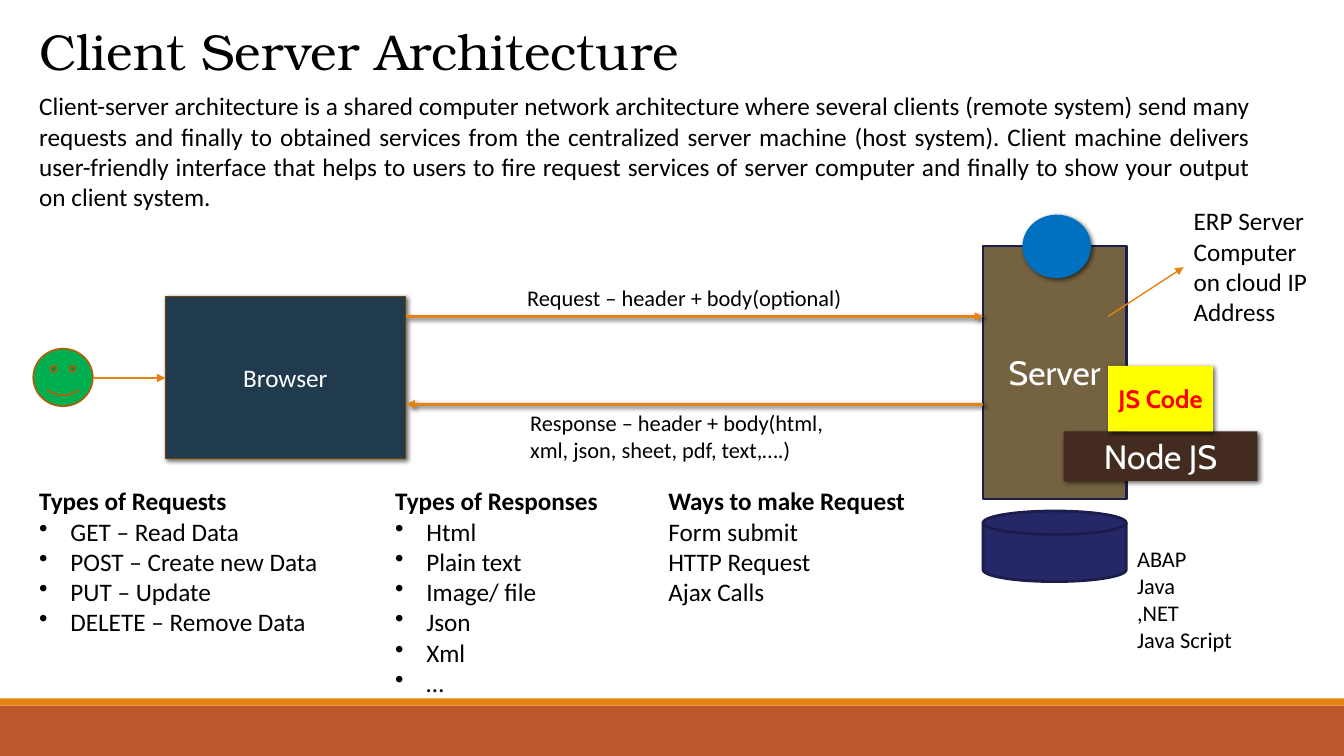
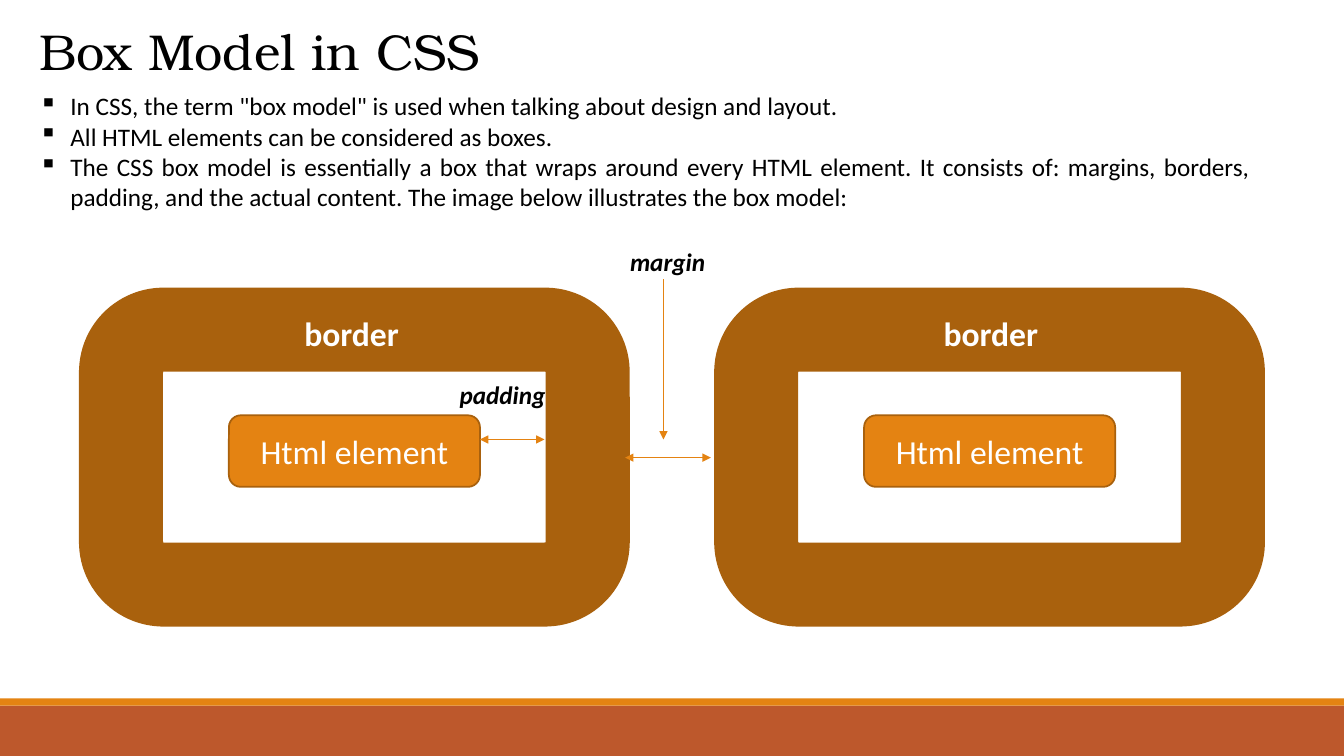
"""Build two slides on client-server architecture and the CSS box model."""
from lxml.etree import SubElement
from pptx import Presentation
from pptx.dml.color import RGBColor
from pptx.enum.shapes import MSO_CONNECTOR as Connector, MSO_SHAPE as Preset
from pptx.enum.text import MSO_ANCHOR as Anchor, MSO_AUTO_SIZE as AutoSize, PP_ALIGN as Align
from pptx.oxml.ns import qn
from pptx.util import Inches, Pt

COLORS = {
    "black": "000000", "white": "FFFFFF", "red": "FF0000", "yellow": "FFFF00",
    "green": "00B050", "blue": "0070C0", "orange": "E48312", "rust": "BD582C",
    "brown": "A9610D", "browser": "203A4E", "browser_edge": "724209",
    "server": "746241", "navy": "262767", "navy_edge": "1C1D4C", "node": "432B20",
}
BODY, LABEL, HEADING = "Calibri", "Cabin", "TeX Gyre Bonum"
INDENT = 0.31


def color(name):
    return RGBColor.from_string(COLORS[name])


def write_text(frame, text, size=18, font=BODY, ink="black", bold=False, italic=False,
               align=Align.LEFT, bullet=None, heading=False, spacing=None):
    for index, line in enumerate(text.split("\n")):
        paragraph = frame.paragraphs[0] if index == 0 else frame.add_paragraph()
        is_heading = heading and index == 0
        paragraph.alignment = align
        if spacing:
            paragraph.line_spacing = spacing
        if bullet and not is_heading:
            properties = paragraph.element.get_or_add_pPr() if hasattr(paragraph, "element") else paragraph._p.get_or_add_pPr()
            properties.set("marL", str(Inches(INDENT)))
            properties.set("indent", str(-Inches(INDENT)))
            SubElement(properties, qn("a:buChar")).set("char", bullet)
        run = paragraph.add_run()
        run.text = line
        run.font.name, run.font.size = font, Pt(size)
        run.font.bold, run.font.italic = bold or is_heading, italic
        run.font.color.rgb = color(ink)


def add_shadow(effects, blur):
    shadow = SubElement(effects, qn("a:outerShdw"), blurRad=str(Pt(blur)), dist=str(Pt(2)),
                        dir="2700000", algn="tl", rotWithShape="0")
    shade = SubElement(shadow, qn("a:srgbClr"), val=COLORS["black"])
    SubElement(shade, qn("a:alpha"), val="60000")


class Deck:
    def __init__(self):
        self.presentation = Presentation()
        self.presentation.slide_width = Inches(13.33)
        self.presentation.slide_height = Inches(7.5)
        self.layout = self.presentation.slide_layouts[5]
        self.slide = None

    def add_slide(self, title):
        is_first = self.slide is None
        self.slide = self.presentation.slides.add_slide(self.layout)
        if is_first:
            self.add_bands()
        placeholder = self.slide.shapes.title
        placeholder.left, placeholder.top = Inches(0.29), Inches(0.21)
        placeholder.width, placeholder.height = Inches(12.21), Inches(0.65)
        frame = placeholder.text_frame
        frame.auto_size, frame.vertical_anchor = AutoSize.NONE, Anchor.MIDDLE
        write_text(frame, title, size=36, font=HEADING, spacing=0.9)

    def add_bands(self):
        for top, height, fill in ((7, 0.5, "rust"), (6.93, 0.07, "orange")):
            band = self.add_shape(Preset.RECTANGLE, 0, top, 13.33, height, fill)
            self.layout.shapes.element.append(band.element)

    def add_text(self, text, left, top, width, height, **style):
        box = self.slide.shapes.add_textbox(*map(Inches, (left, top, width, height)))
        box.text_frame.word_wrap = True
        write_text(box.text_frame, text, **style)

    def add_shape(self, preset, left, top, width, height, fill=None, edge=None,
                  edge_width=1.25, shadow=False, text=None, **style):
        shape = self.slide.shapes.add_shape(preset, *map(Inches, (left, top, width, height)))
        shape.shadow.inherit = False
        if fill:
            shape.fill.solid()
            shape.fill.fore_color.rgb = color(fill)
        else:
            shape.fill.background()
        if edge:
            shape.line.color.rgb = color(edge)
            shape.line.width = Pt(edge_width)
        else:
            shape.line.fill.background()
        if shadow:
            add_shadow(shape.element.spPr.find(qn("a:effectLst")), 3.5)
        if text:
            frame = shape.text_frame
            frame.margin_left = frame.margin_right = 0
            frame.vertical_anchor = Anchor.MIDDLE
            write_text(frame, text, **{"ink": "white", "align": Align.CENTER, **style})
        return shape

    def add_arrow(self, start, end, width=1, both=False, shadow=False):
        arrow = self.slide.shapes.add_connector(Connector.STRAIGHT, *map(Inches, (*start, *end)))
        arrow.line.color.rgb = color("orange")
        arrow.line.width = Pt(width)
        properties = arrow.element.spPr
        line = properties.find(qn("a:ln"))
        for tag in ("a:headEnd", "a:tailEnd") if both else ("a:tailEnd",):
            SubElement(line, qn(tag), type="triangle")
        effects = SubElement(properties, qn("a:effectLst"))
        if shadow:
            add_shadow(effects, 3)


def build_client_server(deck):
    deck.add_slide("Client Server Architecture")
    deck.add_text(
        "Client-server architecture is a shared computer network architecture where several "
        "clients (remote system) send many requests and finally to obtained services from the "
        "centralized server machine (host system). Client machine delivers user-friendly "
        "interface that helps to users to fire request services of server computer and finally "
        "to show your output on client system.",
        0.29, 0.85, 12.21, 1.31, align=Align.JUSTIFY)
    deck.add_shape(Preset.RECTANGLE, 1.64, 2.94, 2.38, 1.61, "browser", "browser_edge", 0.75,
                   shadow=True, text="Browser")
    deck.add_text("Request – header + body(optional)", 5.13, 2.77, 3.5, 0.37, size=16)
    deck.add_text("Response – header + body(html, xml, json, sheet, pdf, text,….)",
                  5.16, 4.01, 3.5, 0.64, size=16)

    deck.add_shape(Preset.RECTANGLE, 9.75, 2.44, 1.42, 2.51, "server", "navy_edge", 2,
                   text="Server", size=24, font=LABEL)
    deck.add_shape(Preset.OVAL, 10.14, 2.13, 0.68, 0.63, "blue", shadow=True)
    deck.add_shape(Preset.FLOWCHART_MAGNETIC_DISK, 9.75, 5.07, 1.42, 0.7, "navy", "navy_edge", 2)
    deck.add_shape(Preset.RECTANGLE, 10.55, 4.28, 1.92, 0.49, "node", shadow=True,
                   text="Node JS", size=24, font=LABEL)
    deck.add_shape(Preset.RECTANGLE, 10.99, 3.63, 1.04, 0.65, "yellow", shadow=True,
                   text="JS Code", font=LABEL, ink="red", bold=True)

    deck.add_arrow((4.03, 3.14), (9.75, 3.14), width=2, shadow=True)
    deck.add_arrow((9.75, 4.01), (4.03, 4.01), width=2, shadow=True)
    deck.add_text("ERP Server Computer on cloud IP Address", 11.74, 1.99, 1.49, 1.31)
    deck.add_arrow((10.99, 3.14), (11.74, 2.65))
    deck.add_text("ABAP\nJava\n,NET\nJava Script", 11.18, 5.36, 1.2, 1.18, size=16)
    deck.add_shape(Preset.SMILEY_FACE, 0.33, 3.46, 0.59, 0.57, "green", "brown")
    deck.add_arrow((0.92, 3.75), (1.64, 3.75))

    lists = (
        (0.29, 3.1, 1.62, "•", "Types of Requests\nGET – Read Data\nPOST – Create new Data\n"
                               "PUT – Update\nDELETE – Remove Data"),
        (3.82, 2.71, 2.22, "•", "Types of Responses\nHtml\nPlain text\nImage/ file\nJson\nXml\n…"),
        (6.53, 2.99, 1.31, None, "Ways to make Request\nForm submit\nHTTP Request\nAjax Calls"),
    )
    for left, width, height, bullet, text in lists:
        deck.add_text(text, left, 4.77, width, height, bullet=bullet, heading=True)


def build_box_model(deck):
    deck.add_slide("Box Model in CSS")
    deck.add_text(
        'In CSS, the term "box model" is used when talking about design and layout.\n'
        "All HTML elements can be considered as boxes.\n"
        "The CSS box model is essentially a box that wraps around every HTML element. It consists "
        "of: margins, borders, padding, and the actual content. The image below illustrates the "
        "box model:",
        0.29, 0.85, 12.21, 1.31, align=Align.JUSTIFY, bullet="▪")
    for left, label_left in ((1.2, 2.92), (7.5, 9.26)):
        deck.add_shape(Preset.ROUNDED_RECTANGLE, left + 1.07, 4.12, 2.49, 0.71, "orange", "brown",
                       text="Html element", size=24)
        deck.add_shape(Preset.ROUNDED_RECTANGLE, left, 3.27, 4.63, 2.53, None, "brown", 60)
        deck.add_text("border", label_left, 3.05, 1.57, 0.42, size=24, ink="white", bold=True)
    for label, left, top in (("padding", 4.46, 3.71), ("margin", 6.15, 2.39)):
        deck.add_text(label, left, top, 1.35, 0.33, bold=True, italic=True)
    deck.add_arrow((4.76, 4.36), (5.4, 4.36), both=True)
    deck.add_arrow((6.58, 2.77), (6.58, 4.36))
    deck.add_arrow((6.2, 4.54), (7.05, 4.54), both=True)


def main():
    deck = Deck()
    build_client_server(deck)
    build_box_model(deck)
    deck.presentation.save("out.pptx")


if __name__ == "__main__":
    main()
